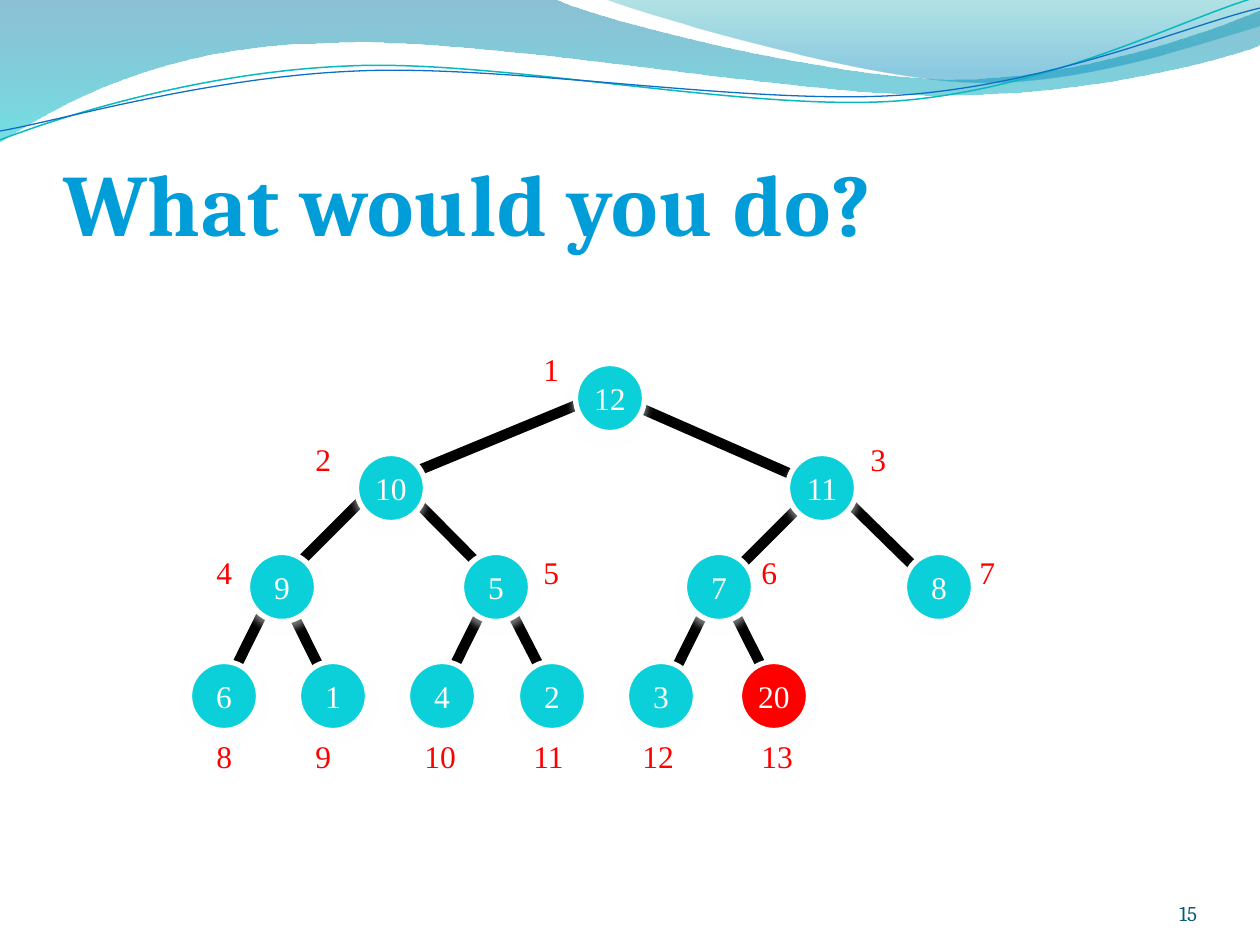
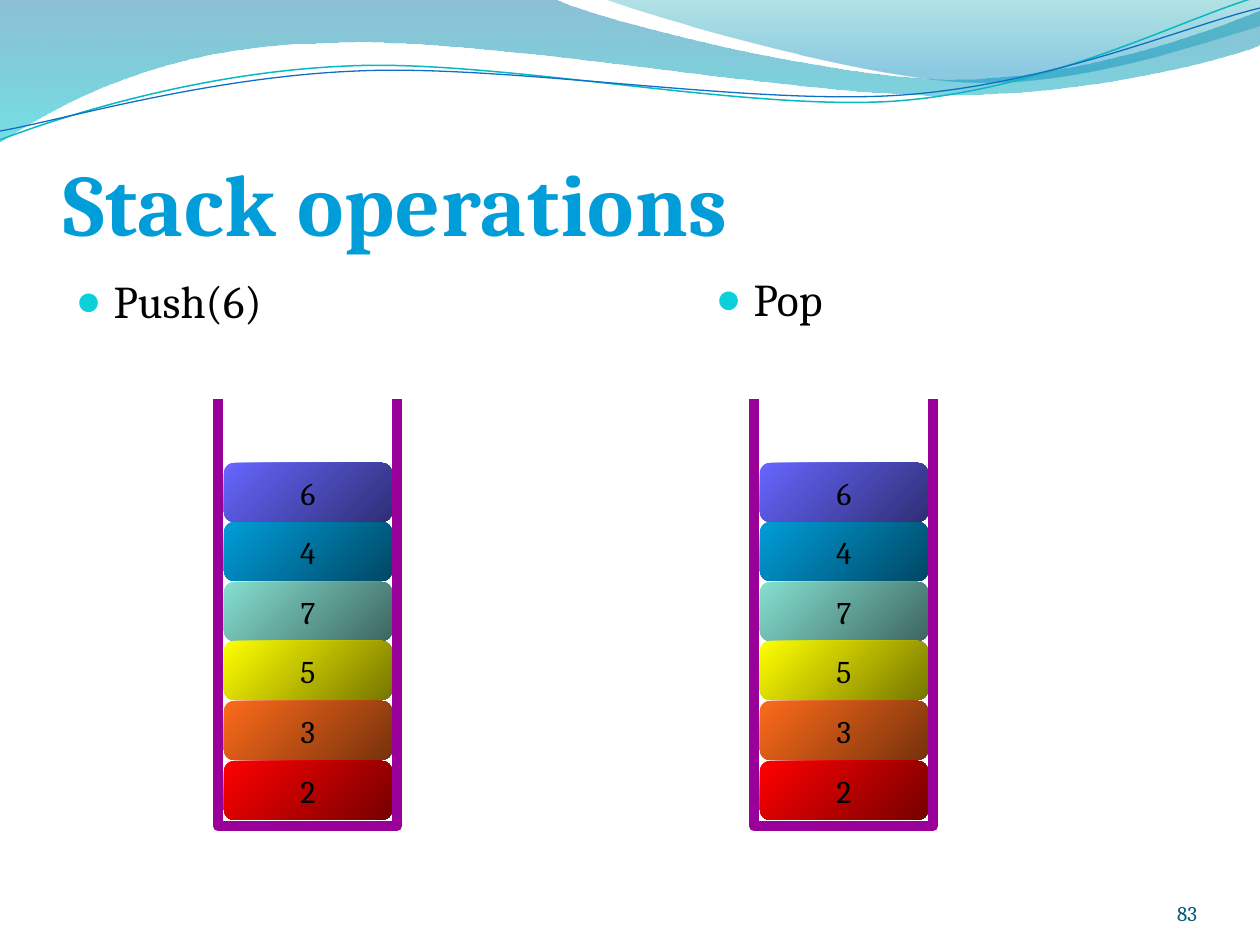
from math import cos, radians, sin

from lxml.etree import SubElement
from pptx import Presentation
from pptx.dml.color import RGBColor
from pptx.enum.shapes import MSO_CONNECTOR as CONNECTOR, MSO_SHAPE as SHAPE
from pptx.enum.text import MSO_ANCHOR as ANCHOR, MSO_AUTO_SIZE as AUTO, PP_ALIGN as ALIGN
from pptx.oxml.ns import qn
from pptx.util import Pt

PX = 914400 // 126
WIDTH, HEIGHT = 1260, 945

BLACK = RGBColor(0x00, 0x00, 0x00)
WHITE = RGBColor(0xFF, 0xFF, 0xFF)
RED = RGBColor(0xFF, 0x00, 0x00)
TURQUOISE = RGBColor(0x0B, 0xD0, 0xD9)
TITLE_BLUE = RGBColor(0x00, 0x9D, 0xD9)
NUMBER_BLUE = RGBColor(0x04, 0x5D, 0x75)
PURPLE = RGBColor(0x99, 0x00, 0x99)
WAVE_TOP = RGBColor(0x00, 0x74, 0xA1)
WAVE_BOTTOM = RGBColor(0x00, 0xC6, 0xCF)
CREST_TOP = RGBColor(0x00, 0xA1, 0xA9)
CREST_BOTTOM = RGBColor(0x00, 0x8B, 0xBF)
TEAL_LINE = RGBColor(0x0A, 0xB8, 0xBF)
BLUE_LINE = RGBColor(0x0F, 0x6F, 0xC6)

TITLE_FONT = {"name": "Cambria", "size": Pt(50), "bold": True}
BODY_FONT = {"name": "Cambria", "size": Pt(26)}
NUMBER_FONT = {"name": "Cambria", "size": Pt(12)}
BRICK_FONT = {"name": "Cambria", "size": Pt(18)}
TREE_FONT = {"name": "Times New Roman", "size": Pt(18)}


def write(shape, text, font, color, align=ALIGN.LEFT, **frame_format):
    frame = shape.text_frame
    for name, value in frame_format.items():
        setattr(frame, name, value)
    para = frame.paragraphs[0]
    para.alignment = align
    span = para.add_run()
    span.text = text
    for name, value in font.items():
        setattr(span.font, name, value)
    span.font.color.rgb = color
    return para


def blend(shape, angle, *stops):
    shape.fill.gradient()
    shape.fill.gradient_angle = angle
    for stop, (position, color) in zip(shape.fill.gradient_stops, stops):
        stop.position = position
        stop.color.rgb = color
    shape.line.fill.background()
    shape.shadow.inherit = False


deck = Presentation()
deck.slide_width, deck.slide_height = WIDTH * PX, HEIGHT * PX
tree_page = deck.slides.add_slide(deck.slide_layouts[5])
stack_page = deck.slides.add_slide(deck.slide_layouts[3])

WAVES = [
    ((0, 0), [
        [(554, -1)],
        [(600, 21), (837, 79), (955, 79)],
        [(1075, 79), (1207, 33), (1260, 11)],
        [(1261, 45)],
        [(1239, 55), (1096, 96), (940, 95)],
        [(784, 95), (481, 35), (324, 43)],
        [(163, 45), (58, 105), (-1, 142)],
        [(0, 0)],
    ], [(0, WAVE_TOP, 45), (1, WAVE_BOTTOM, 55)], None),
    ((604, -1), [
        [(641, 14), (859, 78), (969, 82)],
        [(1079, 87), (1211, 40), (1260, 26)],
        [(1260, 0)],
    ], [(0, CREST_TOP, 30), (0.8, CREST_BOTTOM, 45)], None),
    ((0, 140), [
        [(60, 117), (199, 72), (349, 66)],
        [(498, 59), (747, 112), (898, 101)],
        [(1050, 89), (1182, 19), (1257, -3)],
    ], None, (TEAL_LINE, 0.85, 72)),
    ((0, 131), [
        [(59, 121), (207, 77), (357, 71)],
        [(508, 64), (752, 106), (903, 95)],
        [(1053, 84), (1185, 26), (1260, 8)],
    ], None, (BLUE_LINE, 0.75, 74)),
]
TILT = 2.7
for start, segments, stops, stroke in WAVES:
    points = [start, *(point for segment in segments for point in segment)]
    if stroke:
        turn, middle_x, middle_y = radians(TILT), 629, stroke[2]
        points = [(middle_x + (x - middle_x) * cos(turn) - (y - middle_y) * sin(turn),
                   middle_y + (x - middle_x) * sin(turn) + (y - middle_y) * cos(turn))
                  for x, y in points]
    outline = [(x * PX, y * PX) for x, y in points]
    builder = tree_page.shapes.build_freeform(*outline[0])
    builder.add_line_segments(outline[1:], close=stops is not None)
    wave = builder.convert_to_shape()
    corners = iter(list(wave.element.iter(qn("a:lnTo"))))
    for segment in segments:
        first, *others = [next(corners) for point in segment]
        if others:
            first.tag = qn("a:cubicBezTo")
            for corner in others:
                first.append(corner[0])
                corner.getparent().remove(corner)
    if stops:
        blend(wave, 270, *[stop[:2] for stop in stops])
        for color, stop in zip(wave.element.spPr.iter(qn("a:srgbClr")), stops):
            SubElement(color, qn("a:alpha"), val=str(stop[2] * 1000))
    else:
        wave.fill.background()
        wave.line.color.rgb, wave.line.width = stroke[0], Pt(stroke[1])
        wave.shadow.inherit = False
        wave.rotation = 360 - TILT
    deck.slide_master.shapes.element.append(wave.element)

NO_MARGINS = dict.fromkeys(["margin_left", "margin_right", "margin_top", "margin_bottom"], 0)
for page, heading, number in [(tree_page, "What would you do?", "15"),
                              (stack_page, "Stack operations", "83")]:
    title = page.shapes.title
    title.left, title.top, title.width, title.height = (n * PX for n in (63, 97, 1134, 157))
    write(title, heading, TITLE_FONT, TITLE_BLUE, vertical_anchor=ANCHOR.BOTTOM,
          auto_size=AUTO.NONE, **{**NO_MARGINS, "margin_top": 6 * PX})
    for properties in title.element.iter(qn("a:rPr")):
        properties.set("spc", "50")
    box = page.shapes.add_textbox(*(n * PX for n in (1092, 876, 105, 50)))
    write(box, number, NUMBER_FONT, NUMBER_BLUE, ALIGN.RIGHT, word_wrap=True,
          vertical_anchor=ANCHOR.BOTTOM, **NO_MARGINS)

EDGES = [
    (719, 582, 779, 701), (278, 582, 219, 701), (496, 582, 437, 701),
    (719, 582, 660, 701), (496, 582, 557, 701), (277, 582, 336, 701),
    (398, 483, 496, 582), (834, 488, 934, 586), (818, 488, 719, 587),
    (379, 483, 280, 582), (606, 393, 834, 493), (606, 393, 388, 483),
]
for ends in EDGES:
    edge = tree_page.shapes.add_connector(CONNECTOR.STRAIGHT, *(n * PX for n in ends))
    edge.line.color.rgb, edge.line.width = BLACK, Pt(6)
    SubElement(edge.element.spPr, qn("a:effectLst"))

NODE_SIZE = 69
NODE_ROWS = [398, 488, 587, 696]
LABEL_ROWS = [344, 434, 547, 731]
NODES = [
    ("12", 610, 531),
    ("10", 391, 303), ("11", 822, 858),
    ("9", 282, 204), ("5", 496, 531), ("7", 719, 749), ("8", 939, 967),
    ("6", 224, 204), ("1", 333, 303), ("4", 442, 412),
    ("2", 552, 521), ("3", 661, 630), ("20", 774, 749),
]
for index, (key, center, label_left) in enumerate(NODES, 1):
    level = index.bit_length() - 1
    node_box = (center - NODE_SIZE / 2, NODE_ROWS[level] - NODE_SIZE / 2, NODE_SIZE, NODE_SIZE)
    node = tree_page.shapes.add_shape(SHAPE.OVAL, *(int(n * PX) for n in node_box))
    node.fill.solid()
    node.fill.fore_color.rgb = RED if key == "20" else TURQUOISE
    node.line.color.rgb, node.line.width = WHITE, Pt(3)
    node.shadow.inherit = False
    shadow = SubElement(node.element.spPr.find(qn("a:effectLst")), qn("a:outerShdw"),
                        blurRad="57150", dist="38100", dir="5400000", rotWithShape="0")
    SubElement(SubElement(shadow, qn("a:srgbClr"), val=str(WHITE)), qn("a:alpha"), val="48000")
    write(node, key, TREE_FONT, WHITE, ALIGN.CENTER,
          vertical_anchor=ANCHOR.MIDDLE, word_wrap=False)
    label_box = (label_left, LABEL_ROWS[level], 42 if index < 10 else 57, 50)
    label = tree_page.shapes.add_textbox(*(n * PX for n in label_box))
    write(label, str(index), TREE_FONT, RED, word_wrap=False)

BRICKS = [
    ("6", RGBColor(0x66, 0x66, 0xFF), RGBColor(0x2F, 0x2F, 0x76)),
    ("4", RGBColor(0x00, 0x9D, 0xD9), RGBColor(0x00, 0x48, 0x64)),
    ("7", RGBColor(0x85, 0xDF, 0xD0), RGBColor(0x3E, 0x67, 0x60)),
    ("5", RGBColor(0xFF, 0xFF, 0x00), RGBColor(0x76, 0x76, 0x00)),
    ("3", RGBColor(0xFE, 0x6B, 0x1A), RGBColor(0x76, 0x32, 0x0C)),
    ("2", RGBColor(0xFF, 0x00, 0x00), RGBColor(0x76, 0x00, 0x00)),
]
OPERATIONS = [
    (1, "Push(6)", (63, 267, 1134, 605), 218),
    (2, "Pop", (703, 265, 557, 611), 754),
]
for placeholder, operation, area, stack_left in OPERATIONS:
    body = stack_page.placeholders[placeholder]
    body.left, body.top, body.width, body.height = (n * PX for n in area)
    para = write(body, operation, BODY_FONT, BLACK, auto_size=AUTO.NONE)
    bullet = body.element.find(".//" + qn("a:pPr"))
    bullet.set("marL", str(38 * PX))
    bullet.set("indent", str(-38 * PX))
    SubElement(SubElement(bullet, qn("a:buClr")), qn("a:srgbClr"), val=str(TURQUOISE))
    SubElement(bullet, qn("a:buSzPct"), val="95000")
    SubElement(bullet, qn("a:buChar"), char="●")
    para.space_before = Pt(0)

    for row, (value, light, dark) in enumerate(BRICKS):
        brick_box = (stack_left + 6, 463 + row * 298 // 5, 168, 59)
        brick = stack_page.shapes.add_shape(SHAPE.ROUNDED_RECTANGLE, *(n * PX for n in brick_box))
        brick.adjustments[0] = 0.17
        blend(brick, 315, (0, light), (1, dark))
        write(brick, value, BRICK_FONT, BLACK, ALIGN.CENTER,
              vertical_anchor=ANCHOR.MIDDLE, word_wrap=False)

    stack_right = stack_left + 179
    builder = stack_page.shapes.build_freeform(stack_left, 399, scale=PX)
    builder.add_line_segments(
        [(stack_left, 826), (stack_right, 826), (stack_right, 399)], close=False)
    container = builder.convert_to_shape()
    container.fill.background()
    container.line.color.rgb, container.line.width = PURPLE, Pt(6)
    SubElement(container.element.spPr.find(qn("a:ln")), qn("a:round"))
    container.shadow.inherit = False

deck.save("out.pptx")
